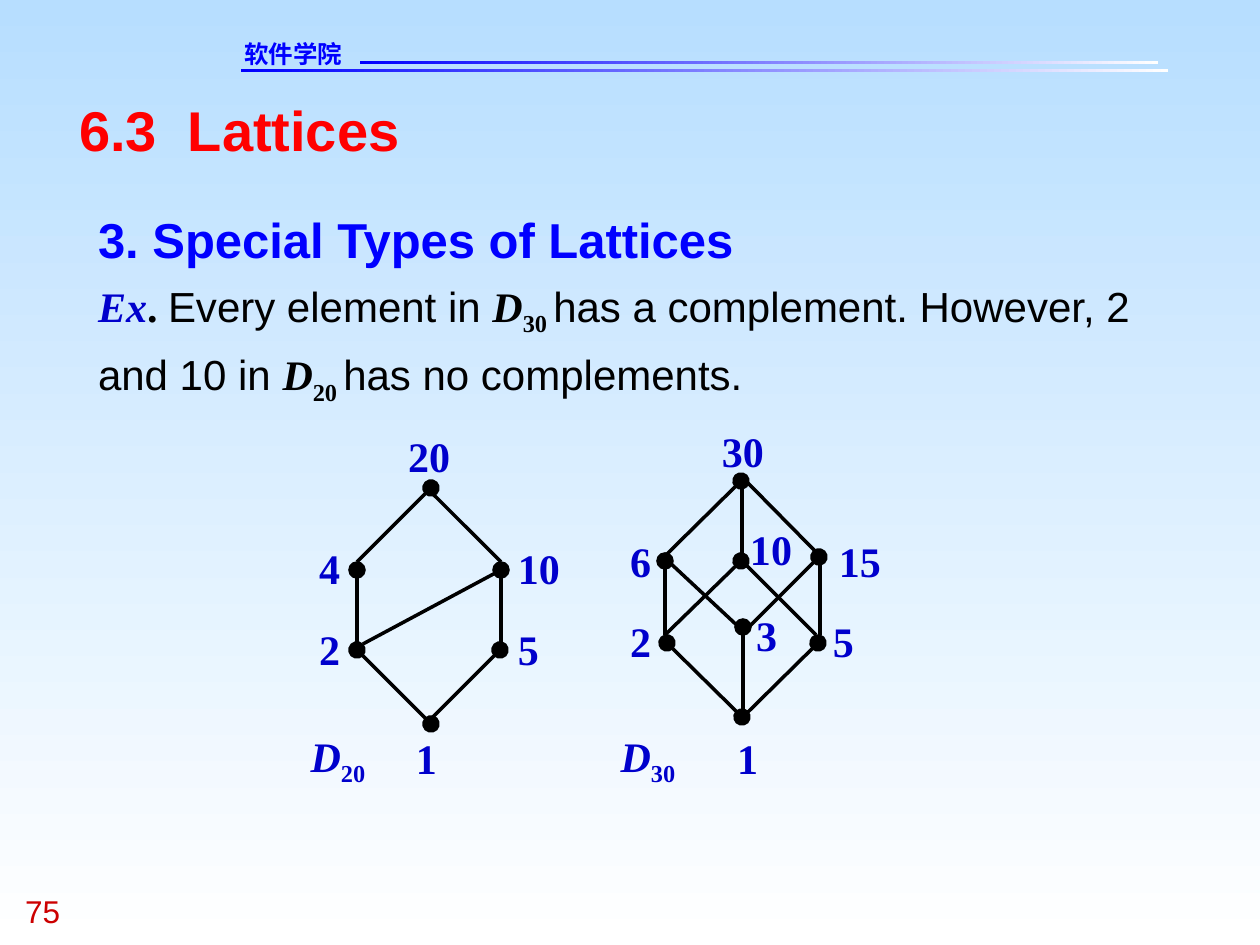
from lxml.etree import SubElement
from pptx import Presentation
from pptx.dml.color import RGBColor
from pptx.enum.shapes import MSO_CONNECTOR, MSO_SHAPE
from pptx.enum.text import MSO_ANCHOR, MSO_AUTO_SIZE, PP_ALIGN
from pptx.oxml.ns import qn
from pptx.util import Emu, Pt

PX = 914400 // 126
COLORS = {"sky": "B7DEFF", "white": "FFFFFF", "blue": "0000FF", "label": "0000CC",
          "red": "FF0000", "number": "CC0000", "black": "000000"}

# Text formats: one dict of font values each
HEADER = {"name": "DejaVu Sans", "size": 14, "bold": True, "color": "blue"}
NUMBER = {"name": "Arial", "size": 18, "color": "number"}
TITLE = {"name": "Arial", "size": 32, "bold": True, "color": "red"}
HEADING = {**TITLE, "size": 28, "color": "blue"}
PLAIN = {"name": "Arial", "size": 24, "bold": False, "color": "black"}
MATH = {"name": "Times New Roman", "size": 24, "bold": True, "color": "black"}
SYMBOL = {**MATH, "italic": True}
SUB = {**MATH, "baseline": -25000}
LABEL = {**MATH, "color": "label"}
LABEL_SYMBOL = {**LABEL, "italic": True}
LABEL_SUB = {**LABEL, "baseline": -25000}

# Lattice edges: x1, y1, x2, y2, dotted ends
# Lattice labels: text, left, top
LATTICES = [
    {"order": "20", "name_left": 309,
     "edges": [(426, 724, 500, 650, "tail"), (431, 724, 357, 650, "both"),
               (357, 644, 357, 570, "tail"), (501, 644, 501, 570, "tail"),
               (357, 562, 431, 488, "tail"), (501, 562, 427, 488, ""),
               (363, 644, 501, 570, "")],
     "labels": [("1", 416, 733), ("2", 319, 624), ("4", 319, 543),
                ("5", 518, 624), ("10", 518, 543), ("20", 408, 431)]},
    {"order": "30", "name_left": 619,
     "edges": [(743, 717, 818, 643, "tail"), (742, 717, 667, 643, "both"),
               (743, 717, 743, 627, "tail"), (816, 635, 742, 561, ""),
               (665, 635, 741, 561, "tail"), (742, 630, 668, 561, ""),
               (665, 635, 665, 561, "tail"), (820, 635, 820, 561, ""),
               (820, 556, 746, 481, ""), (665, 556, 741, 481, "tail"),
               (745, 631, 819, 557, "tail"), (742, 557, 742, 483, "")],
     "labels": [("1", 737, 733), ("2", 630, 616), ("5", 833, 616), ("3", 756, 610),
                ("6", 630, 536), ("15", 839, 536), ("10", 750, 524), ("30", 722, 426)]},
]


def px(*lengths):
    return [Emu(length * PX) for length in lengths]


def rgb(color):
    return RGBColor.from_string(COLORS[color])


class SlideBuilder:
    """Holds the current slide and the shapes that new elements join."""

    def __init__(self, page):
        self.page = page
        self.shapes = page.shapes

    def gradient(self, fill, start, end, angle):
        fill.gradient()
        fill.gradient_angle = angle
        for stop, color in zip(fill.gradient_stops, (start, end)):
            stop.color.rgb = rgb(color)

    def rule(self, left, top, width):
        bar = self.shapes.add_shape(MSO_SHAPE.RECTANGLE, *px(left, top, width, 3))
        bar.shadow.inherit = False
        bar.line.fill.background()
        self.gradient(bar.fill, "blue", "white", 0)

    def span(self, para, text, style):
        run = para.add_run()
        run.text = text
        for key, value in style.items():
            if key == "color":
                run.font.color.rgb = rgb(value)
            elif key == "baseline":
                run._r.get_or_add_rPr().set("baseline", str(value))
            else:
                setattr(run.font, key, Pt(value) if key == "size" else value)
        SubElement(run._r.get_or_add_rPr(), qn("a:ea")).set("typeface", style["name"])

    def fill_text(self, box, paragraphs, align=PP_ALIGN.LEFT, spacing=1.0, wrap=True):
        frame = box.text_frame
        values = {"margin_left": 0, "margin_top": 0, "margin_right": 0, "margin_bottom": 0,
                  "word_wrap": wrap, "auto_size": MSO_AUTO_SIZE.NONE,
                  "vertical_anchor": MSO_ANCHOR.TOP}
        for key, value in values.items():
            setattr(frame, key, value)
        for index, spans in enumerate(paragraphs):
            para = frame.add_paragraph() if index else frame.paragraphs[0]
            para.alignment = align
            para.line_spacing = spacing
            for text, style in spans:
                self.span(para, text, style)

    def title(self, place, text):
        box = self.page.shapes.title
        box.left, box.top, box.width, box.height = px(*place)
        self.fill_text(box, [[(text, TITLE)]])

    def text(self, place, paragraphs, **options):
        self.fill_text(self.shapes.add_textbox(*px(*place)), paragraphs, **options)

    def edge(self, x1, y1, x2, y2, dots):
        line = self.shapes.add_connector(MSO_CONNECTOR.STRAIGHT, *px(x1, y1, x2, y2))
        line.line.color.rgb = rgb("black")
        line.line.width = Pt(2)
        outline = line.line._get_or_add_ln()
        for end in ("head", "tail"):
            if dots in (end, "both"):
                dot = SubElement(outline, qn(f"a:{end}End"))
                for key, value in {"type": "oval", "w": "lg", "len": "lg"}.items():
                    dot.set(key, value)
        SubElement(line._element.spPr, qn("a:effectLst"))

    def lattice(self, order, name_left, edges, labels):
        """Draws one Hasse diagram as a group."""
        self.shapes = self.page.shapes.add_group_shape().shapes
        for edge in edges:
            self.edge(*edge)
        for text, left, top in labels:
            self.text((left, top, 21 * len(text), 50), [[(text, LABEL)]],
                      align=PP_ALIGN.CENTER, wrap=False)
        self.text((name_left, 730, 58, 58), [[("D", LABEL_SYMBOL), (order, LABEL_SUB)]],
                  align=PP_ALIGN.CENTER)
        self.shapes = self.page.shapes


def main():
    deck = Presentation()
    deck.slide_width, deck.slide_height = px(1260, 945)
    page = deck.slides.add_slide(deck.slide_layouts[5])
    builder = SlideBuilder(page)
    builder.gradient(page.background.fill, "sky", "white", 270)

    builder.rule(241, 69, 927)
    builder.rule(360, 61, 798)
    builder.text((244, 39, 183, 29), [[("软件学院", HEADER)]])
    builder.text((25, 892, 95, 38), [[("75", NUMBER)]])
    builder.title((79, 95, 1103, 67), "6.3  Lattices")
    builder.text((98, 198, 1095, 208), [
        [("3. Special Types of Lattices", HEADING)],
        [("Ex", LABEL_SYMBOL), (". ", MATH), ("Every element in ", PLAIN),
         ("D", SYMBOL), ("30 ", SUB),
         ("has a complement. However, 2 and 10 in ", PLAIN),
         ("D", SYMBOL), ("20 ", SUB), ("has no complements.", PLAIN)],
    ], spacing=1.2)

    for lattice in LATTICES:
        builder.lattice(**lattice)
    deck.save("out.pptx")


if __name__ == "__main__":
    main()
